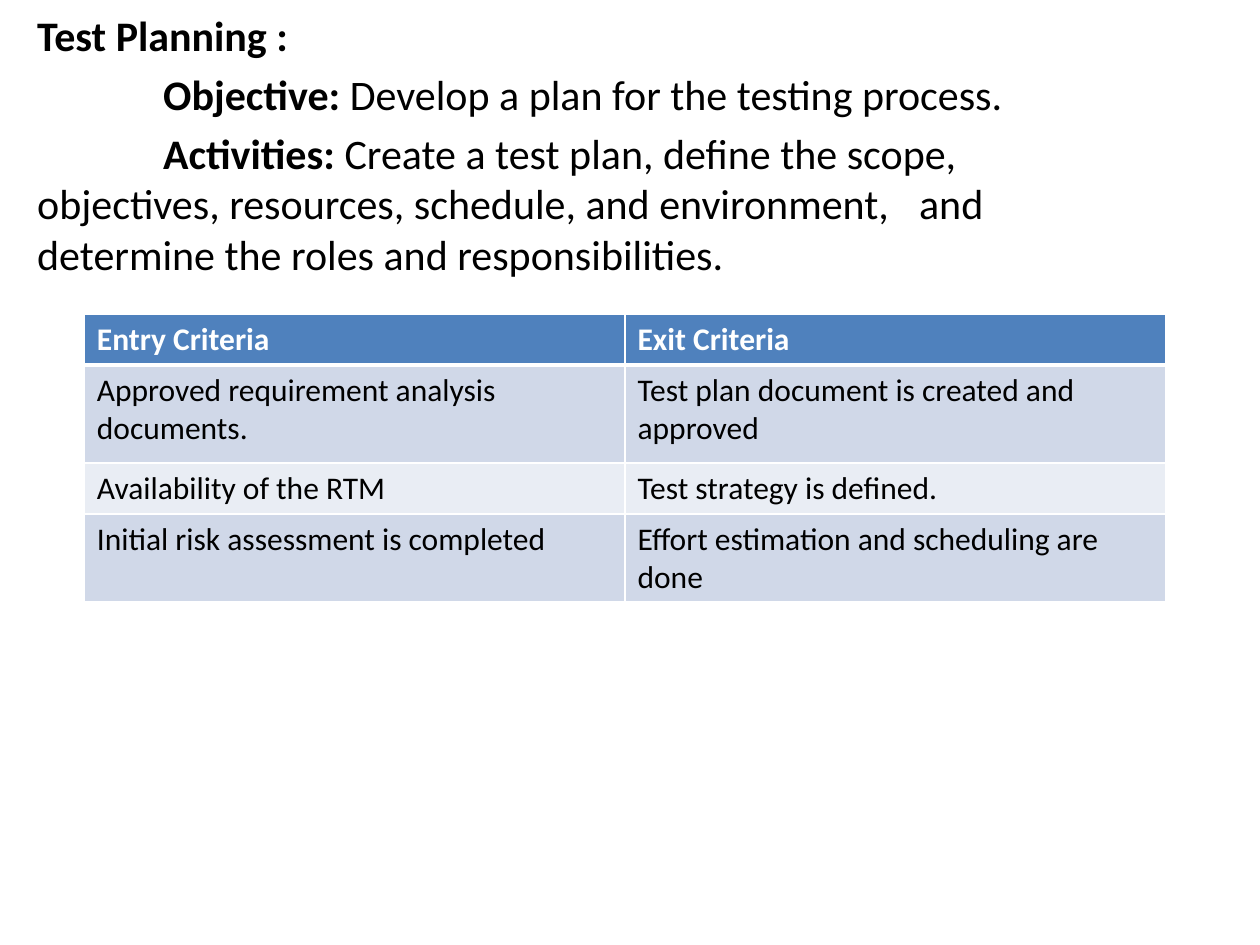
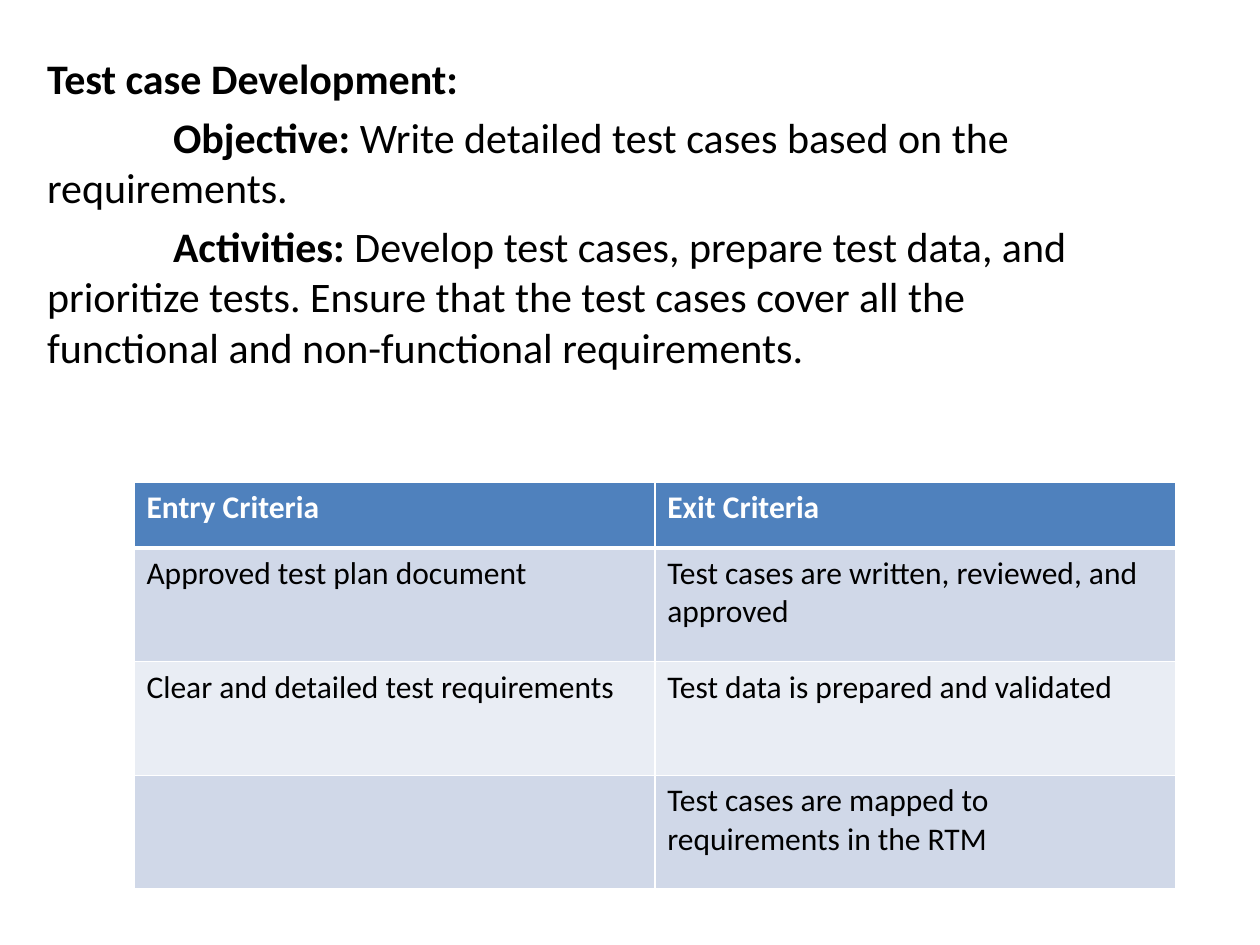
"""Build two slides on testing phases, each with a description and a criteria table."""
import pptx
import pptx.dml.color
import pptx.oxml
import pptx.oxml.ns
import pptx.util

Cm = pptx.util.Cm
Pt = pptx.util.Pt

WHITE, BLACK, HEADER_BLUE = "FFFFFF", "000000", "4F81BD"
BANDS = ("D0D8E8", "E9EDF4")
BODY_SIZE = (22.86, 12.57)
TAB_STEP, TAB_COUNT = 2.54, 8
HEADINGS = ("Entry Criteria", "Exit Criteria")
BODY_FORMAT = {"name": "Calibri", "size": Pt(24)}
CELL_FORMAT = {"name": "Calibri", "size": Pt(18)}

PHASES = [
    {
        "title": "Test Planning :",
        "details": [
            ("Objective:", " Develop a plan for the testing process."),
            ("Activities:", " Create a test plan, define the scope, \tobjectives, resources, "
             "schedule, and environment, \tand \tdetermine the roles and responsibilities."),
        ],
        "criteria": [
            ("Approved requirement analysis documents.",
             "Test plan document is created and approved"),
            ("Availability of the RTM", "Test strategy is defined."),
            ("Initial risk assessment is completed",
             "Effort estimation and scheduling are done"),
        ],
        "body_at": (0.5, 0.07),
        "table_at": (1.7, 6.33),
        "column_width": 10.9,
        "row_heights": (1.03, 1.97, 1.03, 1.03),
    },
    {
        "title": "Test case Development:",
        "details": [
            ("Objective:", " Write detailed test cases based on the \trequirements."),
            ("Activities:", " Develop test cases, prepare test data, and \tprioritize tests. "
             "Ensure that the test cases cover all the \tfunctional and non-functional "
             "requirements."),
        ],
        "criteria": [
            ("Approved test plan document", "Test cases are written, reviewed, and approved"),
            ("Clear and detailed test requirements", "Test data is prepared and validated"),
            ("", "Test cases are mapped to requirements in the RTM"),
        ],
        "body_at": (0.7, 0.93),
        "table_at": (2.7, 9.73),
        "column_width": 10.5,
        "row_heights": (1.32, 2.29, 2.29, 2.29),
    },
]


def color(value):
    return pptx.dml.color.RGBColor.from_string(value)


def add_run(paragraph, text, text_format, bold=False, text_color=BLACK):
    run = paragraph.add_run()
    run.text = text
    for name, value in {**text_format, "bold": bold}.items():
        setattr(run.font, name, value)
    run.font.color.rgb = color(text_color)


def set_tab_stops(paragraph):
    stops = "".join(f'<a:tab pos="{Cm(TAB_STEP * number)}" algn="l"/>'
                    for number in range(1, TAB_COUNT + 1))
    paragraph._p.get_or_add_pPr().append(pptx.oxml.parse_xml(
        f'<a:tabLst {pptx.oxml.ns.nsdecls("a")}>{stops}</a:tabLst>'))


def add_description(slide, phase):
    box = slide.shapes.add_textbox(*map(Cm, phase["body_at"] + BODY_SIZE))
    frame = box.text_frame
    frame.word_wrap = True
    add_run(frame.paragraphs[0], phase["title"], BODY_FORMAT, bold=True)
    for label, detail in phase["details"]:
        paragraph = frame.add_paragraph()
        add_run(paragraph, "\t" + label, BODY_FORMAT, bold=True)
        add_run(paragraph, detail, BODY_FORMAT)
    for paragraph in frame.paragraphs:
        paragraph.space_before = Pt(4.8)
        set_tab_stops(paragraph)


def set_borders(cell, row_index):
    widths = {"L": 1, "R": 1, "T": 3 if row_index == 1 else 1, "B": 3 if row_index == 0 else 1}
    properties = cell._tc.get_or_add_tcPr()
    for side, width in widths.items():
        properties.append(pptx.oxml.parse_xml(
            f'<a:ln{side} {pptx.oxml.ns.nsdecls("a")} w="{Pt(width)}">'
            f'<a:solidFill><a:srgbClr val="{WHITE}"/></a:solidFill></a:ln{side}>'))


def add_criteria_table(slide, phase):
    rows = [HEADINGS] + phase["criteria"]
    width = phase["column_width"] * len(HEADINGS)
    height = sum(phase["row_heights"])
    table = slide.shapes.add_table(
        len(rows), len(HEADINGS), *map(Cm, phase["table_at"] + (width, height))).table
    for column in table.columns:
        column.width = Cm(phase["column_width"])
    for row_index, texts in enumerate(rows):
        table.rows[row_index].height = Cm(phase["row_heights"][row_index])
        is_header = row_index == 0
        fill_color = HEADER_BLUE if is_header else BANDS[(row_index - 1) % 2]
        for column_index, text in enumerate(texts):
            cell = table.cell(row_index, column_index)
            set_borders(cell, row_index)
            cell.fill.solid()
            cell.fill.fore_color.rgb = color(fill_color)
            if text:
                add_run(cell.text_frame.paragraphs[0], text, CELL_FORMAT, is_header,
                        WHITE if is_header else BLACK)


def main():
    presentation = pptx.Presentation()
    presentation.slide_width = Cm(25.4)
    presentation.slide_height = Cm(19.05)
    for phase in PHASES:
        slide = presentation.slides.add_slide(presentation.slide_layouts[6])
        add_description(slide, phase)
        add_criteria_table(slide, phase)
    presentation.save("out.pptx")


if __name__ == "__main__":
    main()
